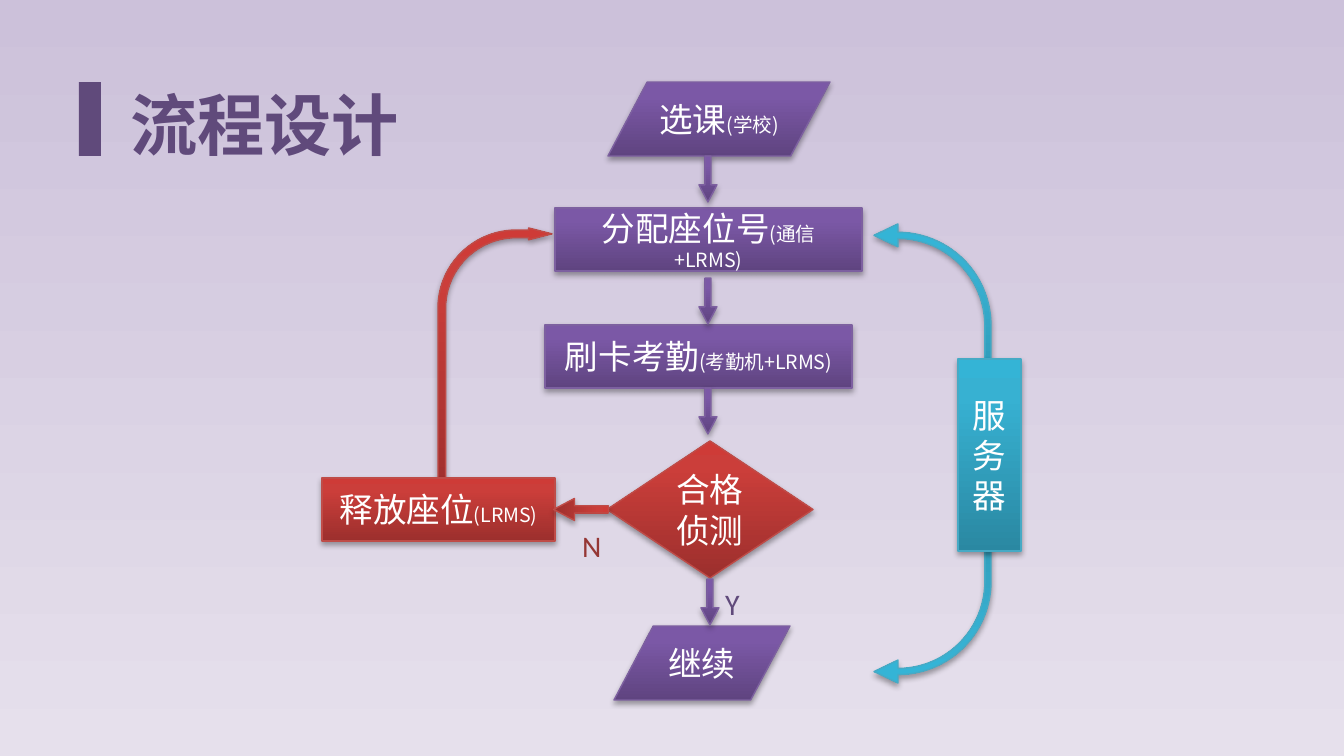
from copy import deepcopy

from lxml import etree
from pptx import Presentation
from pptx.dml.color import RGBColor
from pptx.enum.shapes import MSO_SHAPE
from pptx.enum.text import MSO_ANCHOR, PP_ALIGN
from pptx.oxml.ns import qn
from pptx.util import Inches, Pt

RECT, DECISION = MSO_SHAPE.RECTANGLE, MSO_SHAPE.FLOWCHART_DECISION
SLANTED, DOWN, BENT = MSO_SHAPE.PARALLELOGRAM, MSO_SHAPE.DOWN_ARROW, MSO_SHAPE.BENT_ARROW
CENTER, LEFT, MIDDLE = PP_ALIGN.CENTER, PP_ALIGN.LEFT, MSO_ANCHOR.MIDDLE
SCALE = Inches(10) / 1344
CJK = "Noto Sans CJK SC"
INK = "604A7B"

# gradient from bottom to top, then the outline
PURPLE = ("5F4480", "7B58A6", "7C57A8", "7D60A0")
RED = ("9C2F2D", "CB3E3A", "CE3B37", "BF4C48")
TEAL = ("2A88A2", "37B1D2", "34B4D6", "46AAC5")


def px(*lengths):
    """Turn pixel lengths into EMU."""
    return [round(length * SCALE) for length in lengths]


def rgb(value):
    """Turn a hex string into a colour."""
    return RGBColor.from_string(value)


def write(shape, parts, font, color, align=CENTER, bold=False):
    """Write (text, size) parts into one formatted paragraph."""
    paragraph = shape.text_frame.paragraphs[0]
    paragraph.alignment = align
    paragraph.font.name = font
    paragraph.font.bold = bold
    paragraph.font.color.rgb = rgb(color)
    defaults = paragraph._p.pPr.find(qn("a:defRPr"))
    etree.SubElement(defaults, qn("a:ea")).set("typeface", font)
    for text, size in parts:
        run = paragraph.add_run()
        run.text = text
        run.font.size = Pt(size)


def add_part(kind, box, palette, adjustments=()):
    """Add a shape with gradient, outline and soft shadow."""
    shape = slide.shapes.add_shape(kind, *px(*box))
    for index, value in enumerate(adjustments):
        shape.adjustments[index] = value
    shape.fill.gradient()
    shape.fill.gradient_angle = 90
    first_stop = shape._element.spPr.find(".//" + qn("a:gs"))
    first_stop.addnext(deepcopy(first_stop))
    for stop, position, color in zip(shape.fill.gradient_stops, (0, 0.8, 1), palette):
        stop.position = position
        stop.color.rgb = rgb(color)
    shape.line.color.rgb = rgb(palette[3])
    shape.line.width = Pt(0.75)
    shape.shadow.inherit = False
    effects = shape._element.spPr.find(qn("a:effectLst"))
    shadow = etree.SubElement(effects, qn("a:outerShdw"), blurRad=str(Pt(3.1)),
                              dist=str(Pt(1.8)), dir="5400000", rotWithShape="0")
    shade = etree.SubElement(shadow, qn("a:srgbClr"), val="000000")
    etree.SubElement(shade, qn("a:alpha"), val="35000")
    return shape


prs = Presentation()
prs.slide_width, prs.slide_height = px(1344, 756)
slide = prs.slides.add_slide(prs.slide_layouts[5])
backdrop = slide.background.fill
backdrop.gradient()
backdrop.gradient_angle = 270
for stop, color in zip(backdrop.gradient_stops, ("CCC1DA", "E6E0EC")):
    stop.color.rgb = rgb(color)

title = slide.shapes.title
title.left, title.top, title.width, title.height = px(89, 69, 351, 109)
title.text_frame.vertical_anchor = MIDDLE
write(title, [("流程设计", 36)], CJK, INK, bold=True)

title_bar = slide.shapes.add_shape(RECT, *px(79, 82, 22, 74))
title_bar.fill.solid()
title_bar.fill.fore_color.rgb = rgb(INK)
title_bar.line.fill.background()
title_bar.shadow.inherit = False

# arrows that bend back to the seat assignment and out of the server
add_part(BENT, (438, 228, 114, 278), RED, (0.067, 0.052, 0.204, 0.686))
server_bend = (0.053, 0.098, 0.204, 0.796)
server_up = add_part(BENT, (874, 224, 117, 238), TEAL, server_bend)
server_up._element.spPr.xfrm.set("flipH", "1")
server_down = add_part(BENT, (874, 445, 117, 238), TEAL, server_bend)
server_down.rotation = 180

steps = [
    (DECISION, (607, 441, 206, 137), RED, (), "合格侦测", ""),
    (RECT, (555, 208, 307, 63), PURPLE, (), "分配座位号", "(通信+LRMS)"),
    (SLANTED, (608, 82, 222, 74), PURPLE, (0.531,), "选课", "(学校)"),
    (RECT, (545, 325, 307, 63), PURPLE, (), "刷卡考勤", "(考勤机+LRMS)"),
    (SLANTED, (614, 626, 176, 74), PURPLE, (0.531,), "继续", ""),
    (RECT, (322, 478, 233, 63), RED, (), "释放座位", "(LRMS)"),
    (RECT, (958, 359, 63, 192), TEAL, (), "服务器", ""),
]
for kind, box, palette, adjustments, label, detail in steps:
    step = add_part(kind, box, palette, adjustments)
    step.text_frame.word_wrap = True
    step.text_frame.vertical_anchor = MIDDLE
    parts = [(label, 18)] + ([(detail, 10.5)] if detail else [])
    write(step, parts, CJK, "FFFFFF")

arrow_head = (0.328, 0.952)
for left, top in ((699, 278), (699, 156), (701, 579), (699, 388)):
    add_part(DOWN, (left, top, 18, 46), PURPLE, arrow_head)
reject_arrow = add_part(DOWN, (570, 482, 22, 55), RED, arrow_head)
reject_arrow.rotation = 90

for answer, left, top, color in (("Y", 712, 579, INK), ("N", 569, 521, "953735")):
    branch = slide.shapes.add_textbox(*px(left, top, 42, 50))
    branch.text_frame.word_wrap = True
    write(branch, [(answer, 16)], "Calibri", color, LEFT)

prs.save("out.pptx")
